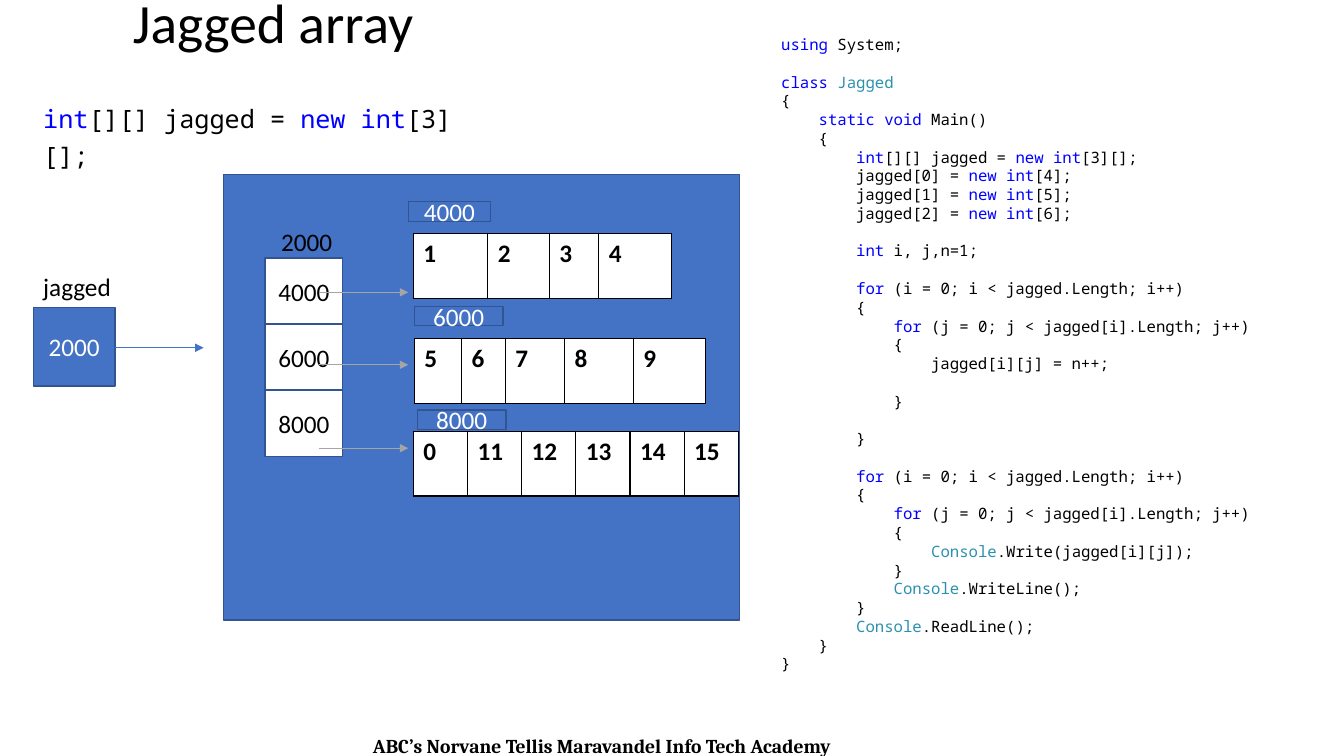
from itertools import groupby

from lxml import etree
from pptx import Presentation
from pptx.dml.color import RGBColor
from pptx.enum.shapes import MSO_CONNECTOR, MSO_SHAPE
from pptx.enum.text import MSO_ANCHOR, MSO_AUTO_SIZE, PP_ALIGN
from pptx.oxml.ns import qn
from pptx.util import Pt

LEFT, CENTER = PP_ALIGN.LEFT, PP_ALIGN.CENTER
TOP, MIDDLE = MSO_ANCHOR.TOP, MSO_ANCHOR.MIDDLE
RECTANGLE, STRAIGHT = MSO_SHAPE.RECTANGLE, MSO_CONNECTOR.STRAIGHT
NO_AUTOFIT = MSO_AUTO_SIZE.NONE

COLORS = {
    "black": "000000", "white": "FFFFFF", "blue": "4472C4", "outline": "325491",
    "gray": "A5A5A5", "keyword": "0000FF", "type": "2B91AF",
}
WORD_COLORS = dict.fromkeys(("using", "class", "static", "void", "int", "new", "for"), "keyword")
WORD_COLORS.update({"Jagged": "type", "Console": "type"})

TITLE = "Jagged array"
FOOTER = "ABC’s Norvane Tellis Maravandel Info Tech Academy"
DECLARATION = "int[][] jagged = new int[3][];"
CODE = """using System;

class Jagged
{
    static void Main()
    {
        int[][] jagged = new int[3][];
        jagged[0] = new int[4];
        jagged[1] = new int[5];
        jagged[2] = new int[6];

        int i, j,n=1;

        for (i = 0; i < jagged.Length; i++)
        {
            for (j = 0; j < jagged[i].Length; j++)
            {
                jagged[i][j] = n++;

            }

        }

        for (i = 0; i < jagged.Length; i++)
        {
            for (j = 0; j < jagged[i].Length; j++)
            {
                Console.Write(jagged[i][j]);
            }
            Console.WriteLine();
        }
        Console.ReadLine();
    }
}"""
CODE_PITCH = 13.42

REFERENCE = ("2000", (23.8, 219.6, 58.3, 56.2))
MEMORY = (159.8, 124.6, 368.6, 318.2)
CAPTIONS = [("jagged", (23.8, 190, 64.8, 28.8)), ("2000", (193.7, 158.4, 63.4, 28.8))]
INDEX_LEFT, INDEX_TOP, INDEX_WIDTH, INDEX_HEIGHT = 189.4, 184.3, 55.4, 47.2
ARROW_START, ARROW_END = 228.2, 291.6
ROW_HEIGHT = 46.1
ROWS = [
    {"address": "4000", "label": (291.6, 144, 59, 14.4), "arrow": 208.8, "origin": (295.2, 167),
     "values": [1, 2, 3, 4], "widths": [53.3, 43.9, 35.3, 51.8]},
    {"address": "6000", "label": (295.9, 218.9, 63.4, 13.7), "arrow": 260.6, "origin": (295.9, 241.9),
     "values": [5, 6, 7, 8, 9], "widths": [33.8, 31.2, 42.3, 49.2, 51.8]},
    {"address": "8000", "label": (298.1, 293, 63.4, 13.7), "arrow": 320.2, "origin": (295.2, 308.2),
     "values": [0, 11, 12, 13, 14, 15], "widths": [38.7] * 6},
]

LABEL_FONT = {"name": "Calibri", "size": Pt(18), "bold": False}
VALUE_FONT = {**LABEL_FONT, "bold": True}
TITLE_FONT = {**LABEL_FONT, "size": Pt(39.6)}
FOOTER_FONT = {"name": "Cambria", "size": Pt(14), "bold": True}
CODE_FONT = {"name": "Noto Sans Mono", "size": Pt(11.2), "bold": False}
DECLARATION_FONT = {**CODE_FONT, "size": Pt(18)}


def rgb(color):
    return RGBColor.from_string(COLORS[color])


def points(values):
    return [Pt(value) for value in values]


def set_all(target, values):
    for name, value in values.items():
        setattr(target, name, value)


def add_run(paragraph, text, font, color):
    run = paragraph.add_run()
    run.text = text
    set_all(run.font, font)
    run.font.color.rgb = rgb(color)


def write(frame, text, font, color="black", align=LEFT, anchor=TOP):
    set_all(frame, {"word_wrap": True, "auto_size": NO_AUTOFIT, "vertical_anchor": anchor})
    paragraph = frame.paragraphs[0]
    paragraph.alignment = align
    add_run(paragraph, text, font, color)
    return paragraph


def write_code(paragraph, line, font, pitch):
    paragraph.line_spacing = Pt(pitch)
    words = ["".join(letters) for _, letters in groupby(line, str.isalnum)]
    for color, part in groupby(words, lambda word: WORD_COLORS.get(word, "black")):
        add_run(paragraph, "".join(part), font, color)


def place(shape, box):
    set_all(shape, dict(zip(("left", "top", "width", "height"), points(box))))


def add_text(slide, text, box, font, align=LEFT):
    write(slide.shapes.add_textbox(*points(box)).text_frame, text, font, align=align)


def add_box(slide, box, fill="blue", text="", color="white"):
    shape = slide.shapes.add_shape(RECTANGLE, *points(box))
    shape.shadow.inherit = False
    shape.fill.solid()
    shape.fill.fore_color.rgb = rgb(fill)
    shape.line.color.rgb = rgb("outline")
    shape.line.width = Pt(1)
    if text:
        write(shape.text_frame, text, LABEL_FONT, color, CENTER, MIDDLE)


def add_arrow(slide, start, end, y, color):
    arrow = slide.shapes.add_connector(STRAIGHT, *points((start, y, end, y)))
    arrow.line.color.rgb = rgb(color)
    arrow.line.width = Pt(0.5)
    etree.SubElement(arrow.line._get_or_add_ln(), qn("a:tailEnd"), type="triangle")
    etree.SubElement(arrow._element.spPr, qn("a:effectLst"))


def add_row(slide, row):
    widths = row["widths"]
    box = (*row["origin"], sum(widths), ROW_HEIGHT)
    table = slide.shapes.add_table(1, len(widths), *points(box)).table
    set_all(table, {"first_row": False, "horz_banding": False})
    for column, width, cell, value in zip(table.columns, widths, table.iter_cells(), row["values"]):
        column.width = Pt(width)
        properties = cell._tc.get_or_add_tcPr()
        for side in ("lnL", "lnR", "lnT", "lnB"):
            border = etree.SubElement(properties, qn(f"a:{side}"), w=str(Pt(1)))
            fill = etree.SubElement(border, qn("a:solidFill"))
            etree.SubElement(fill, qn("a:srgbClr"), val=COLORS["black"])
        cell.fill.solid()
        cell.fill.fore_color.rgb = rgb("white")
        add_run(cell.text_frame.paragraphs[0], str(value), VALUE_FONT, "black")


def add_program(body):
    place(body, (550.8, 7.2, 385.9, 486.7))
    frame = body.text_frame
    set_all(frame, {"word_wrap": True, "auto_size": NO_AUTOFIT, "vertical_anchor": TOP,
                    "margin_top": Pt(17.7)})
    gap = 0
    for number, line in enumerate(CODE.split("\n")):
        if not line:
            gap += CODE_PITCH
            continue
        paragraph = frame.add_paragraph() if number else frame.paragraphs[0]
        properties = paragraph._p.get_or_add_pPr()
        properties.set("marL", "0")
        properties.set("indent", "0")
        etree.SubElement(properties, qn("a:buNone"))
        paragraph.space_before = Pt(gap)
        write_code(paragraph, line, CODE_FONT, CODE_PITCH)
        gap = 0


def main():
    presentation = Presentation()
    set_all(presentation, {"slide_width": Pt(960), "slide_height": Pt(540)})
    slide = presentation.slides.add_slide(presentation.slide_layouts[1])
    title, body = slide.placeholders

    place(title, (87.8, 0, 262.1, 36))
    set_all(title.text_frame, {"margin_top": 0, "margin_bottom": 0})
    write(title.text_frame, TITLE, TITLE_FONT, anchor=MIDDLE).line_spacing = 0.9
    add_program(body)
    add_text(slide, FOOTER, (95, 520.6, 670.3, 19.4), FOOTER_FONT, CENTER)

    declaration = slide.shapes.add_textbox(*points((23.8, 64.1, 313.9, 60)))
    set_all(declaration.text_frame, {"word_wrap": True, "margin_top": Pt(4.8)})
    write_code(declaration.text_frame.paragraphs[0], DECLARATION, DECLARATION_FONT, 26.4)

    address, box = REFERENCE
    add_box(slide, box, text=address)
    add_arrow(slide, box[0] + box[2], 145.4, 248.4, "blue")
    add_box(slide, MEMORY)
    for number, row in enumerate(ROWS):
        top = INDEX_TOP + number * INDEX_HEIGHT
        add_box(slide, (INDEX_LEFT, top, INDEX_WIDTH, INDEX_HEIGHT), "white", row["address"], "black")
        add_arrow(slide, ARROW_START, ARROW_END, row["arrow"], "gray")
        add_row(slide, row)
        add_box(slide, row["label"], text=row["address"])
    for text, box in CAPTIONS:
        add_text(slide, text, box, LABEL_FONT)
    presentation.save("out.pptx")


if __name__ == "__main__":
    main()
